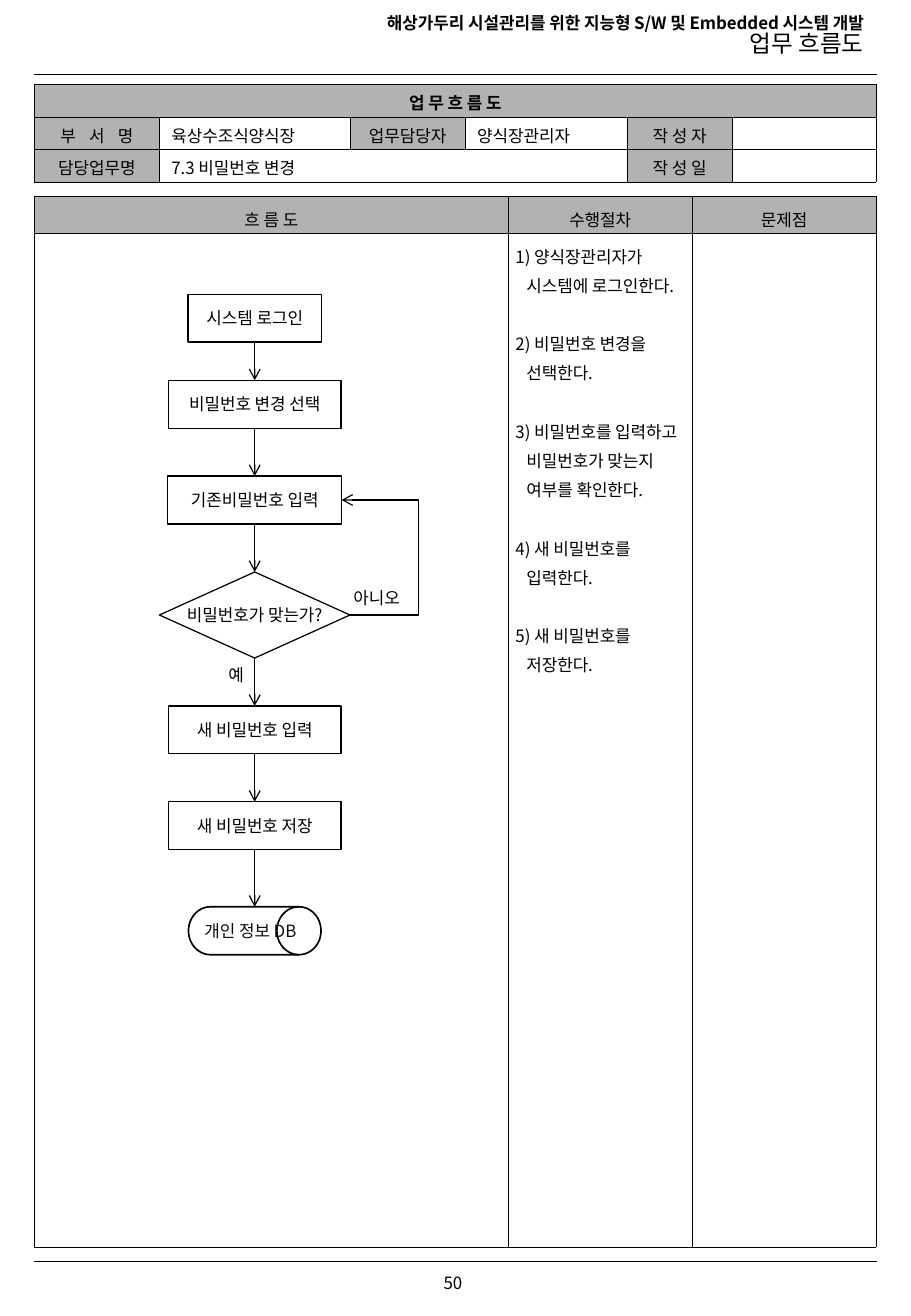
from itertools import pairwise, product

from lxml.etree import SubElement
from pptx import Presentation
from pptx.dml.color import RGBColor
from pptx.enum.shapes import MSO_CONNECTOR as LINK, MSO_SHAPE as SHAPE
from pptx.enum.text import MSO_ANCHOR as ANCHOR, MSO_AUTO_SIZE as AUTO_SIZE, PP_ALIGN as ALIGN
from pptx.oxml.ns import qn
from pptx.util import Pt

FONT = "Noto Sans CJK KR"
BLACK, NEAR_BLACK = RGBColor(0, 0, 0), RGBColor(0x0D, 0x0D, 0x0D)
WHITE, GRAY = RGBColor(255, 255, 255), RGBColor(0xB2, 0xB2, 0xB2)

PROJECT = "해상가두리 시설관리를 위한 지능형 S/W 및 Embedded 시스템 개발"
HEADING = "업무 흐름도"
PAGE_NUMBER = "50"

INFO_ROWS = [
    ["업 무 흐 름 도", "", "", "", "", ""],
    ["부 서 명", "육상수조식양식장", "업무담당자", "양식장관리자", "작 성 자", ""],
    ["담당업무명", "7.3 비밀번호 변경", "", "", "작 성 일", ""],
]
INFO_MERGES = [((0, 0), (0, 5)), ((2, 1), (2, 3))]
INFO_LABELS = {(0, 0), (1, 0), (1, 2), (1, 4), (2, 0), (2, 4)}
INFO_WIDTHS = [74, 113.2, 68.1, 96.1, 62.2, 85.4]
DETAIL_HEADERS = ["흐 름 도", "수행절차", "문제점"]
DETAIL_WIDTHS = [280.8, 109.1, 109.1]
STEPS = [
    "1) 양식장관리자가 시스템에 로그인한다.",
    "2) 비밀번호 변경을 선택한다.",
    "3) 비밀번호를 입력하고 비밀번호가 맞는지 여부를 확인한다.",
    "4) 새 비밀번호를 입력한다.",
    "5) 새 비밀번호를 저장한다.",
]

# text, shape, width, height, gap above
FLOW = [
    ("시스템 로그인", SHAPE.FLOWCHART_PROCESS, 79.2, 28.4, 0),
    ("비밀번호 변경 선택", SHAPE.FLOWCHART_PROCESS, 102.2, 28.4, 22.6),
    ("기존비밀번호 입력", SHAPE.FLOWCHART_PROCESS, 103, 28.4, 28.4),
    ("비밀번호가 맞는가?", SHAPE.FLOWCHART_DECISION, 113, 51, 28.4),
    ("새 비밀번호 입력", SHAPE.FLOWCHART_PROCESS, 102.2, 28.4, 28.4),
    ("새 비밀번호 저장", SHAPE.FLOWCHART_PROCESS, 102.2, 28.4, 28.4),
    ("개인 정보 DB", SHAPE.FLOWCHART_MAGNETIC_DISK, 78.6, 28.4, 33.8),
]
FLOW[-1] = (FLOW[-1][0], SHAPE.FLOWCHART_DIRECT_ACCESS_STORAGE, *FLOW[-1][2:])
ENTRY, DECISION = 2, 3
BRANCH_LABELS = [("아니오", 202.4, 344.9, 62.6), ("예", 128.2, 390.2, 56.9)]

LEFT, RIGHT = 20.4, 519.6
FLOW_CENTER, FLOW_TOP, LOOP_X = 151, 174.3, 248.2
SITE_TOP, SITE_BOTTOM, SITE_RIGHT = 0, 2, 3


def apply(target, **values):
    """Set each named attribute on the target."""
    for name, value in values.items():
        setattr(target, name, value)


def write(paragraph, text, size=10, bold=False, color=BLACK, **layout):
    """Fill a paragraph with one formatted run."""
    apply(paragraph, **layout)
    if not text:
        SubElement(paragraph._p, qn("a:endParaRPr"), sz=str(size * 100))
        return None
    run = paragraph.add_run()
    run.text = text
    apply(run.font, size=Pt(size), bold=bold, name=FONT)
    run.font.color.rgb = color
    SubElement(run._r.get_or_add_rPr(), qn("a:ea"), typeface=FONT)
    return run


def add_label(text, left, top, width, height, **frame_format):
    """Add a text box and return its paragraph."""
    frame = slide.shapes.add_textbox(Pt(left), Pt(top), Pt(width), Pt(height)).text_frame
    apply(frame, **{"word_wrap": True, **frame_format})
    write(frame.paragraphs[0], text)
    return frame.paragraphs[0]


def add_line(kind=LINK.STRAIGHT, points=(0, 0, 0, 0), weight=0.75, arrow=False):
    """Add a black connector without shadow."""
    line = slide.shapes.add_connector(kind, *map(Pt, points))
    line.line.width = Pt(weight)
    line.line.color.rgb = BLACK
    if arrow:
        SubElement(line.line._get_or_add_ln(), qn("a:tailEnd"), type="arrow")
    SubElement(line._element.spPr, qn("a:effectLst"))
    return line


def link(source, source_site, target, target_site, kind=LINK.STRAIGHT):
    """Join two flow nodes with an arrow."""
    arrow = add_line(kind, arrow=True)
    arrow.begin_connect(source, source_site)
    arrow.end_connect(target, target_site)
    return arrow


def add_grid(top, widths, heights):
    """Add a plain table of the given column widths and row heights."""
    grid = slide.shapes.add_table(len(heights), len(widths), Pt(LEFT), Pt(top),
                                  Pt(sum(widths)), Pt(sum(heights))).table
    apply(grid, first_row=False, horz_banding=False)
    for column, width in zip(grid.columns, widths):
        column.width = Pt(width)
    for row, height in zip(grid.rows, heights):
        row.height = Pt(height)
    return grid


def format_cell(cell, shaded, side, top, bottom, anchor):
    """Give a cell thin black borders, a fill and margins."""
    apply(cell, margin_left=Pt(side), margin_right=Pt(side), margin_top=Pt(top),
          margin_bottom=Pt(bottom), vertical_anchor=anchor)
    properties = cell._tc.get_or_add_tcPr()
    for edge in ("lnL", "lnR", "lnT", "lnB"):
        border = SubElement(properties, qn(f"a:{edge}"), w=str(Pt(0.25)))
        fill = SubElement(border, qn("a:solidFill"))
        SubElement(fill, qn("a:srgbClr"), val=str(BLACK))
    if shaded:
        cell.fill.solid()
        cell.fill.fore_color.rgb = GRAY
    else:
        cell.fill.background()


prs = Presentation()
apply(prs, slide_width=Pt(540), slide_height=Pt(779.76))
slide = prs.slides.add_slide(prs.slide_layouts[5])

# Page frame
title = slide.shapes.title
apply(title, left=Pt(167.8), top=Pt(5), width=Pt(351.4), height=Pt(36.7))
apply(title.text_frame, vertical_anchor=ANCHOR.TOP, auto_size=AUTO_SIZE.NONE, word_wrap=True,
      margin_left=Pt(7.2), margin_right=Pt(7.2), margin_top=Pt(4.4), margin_bottom=Pt(0))
heading_layout = {"alignment": ALIGN.RIGHT, "line_spacing": 0.86}
write(title.text_frame.paragraphs[0], PROJECT, bold=True, **heading_layout)
write(title.text_frame.add_paragraph(), HEADING, size=14, **heading_layout)
for y in (44, 747.2):
    add_line(points=(LEFT, y, RIGHT, y), weight=0.25)
add_label(PAGE_NUMBER, 239, 744.5, 59, 31.7, vertical_anchor=ANCHOR.MIDDLE, margin_left=0,
          margin_right=0, margin_top=0, margin_bottom=0).alignment = ALIGN.CENTER

# Document information
info = add_grid(50, INFO_WIDTHS, [19.35] * len(INFO_ROWS))
for row, column in product(range(len(INFO_ROWS)), range(len(INFO_WIDTHS))):
    is_label = (row, column) in INFO_LABELS
    cell = info.cell(row, column)
    format_cell(cell, is_label, 7.2, 3, 1, ANCHOR.MIDDLE)
    run = write(cell.text_frame.paragraphs[0], INFO_ROWS[row][column], bold=row == 0,
                alignment=ALIGN.CENTER if is_label else ALIGN.LEFT)
    if (row, column) == (1, 0):
        run._r.get_or_add_rPr().set("spc", "280")
for first, last in INFO_MERGES:
    info.cell(*first).merge(info.cell(*last))

# Flow, procedure and issues
detail = add_grid(116.4, DETAIL_WIDTHS, [21.6, 600.7])
for column, header in enumerate(DETAIL_HEADERS):
    for row, text in enumerate((header, "")):
        cell = detail.cell(row, column)
        format_cell(cell, row == 0, 4.32, 3.6, 0, ANCHOR.TOP)
        if row == 0 or column != 1:
            write(cell.text_frame.paragraphs[0], text, alignment=ALIGN.CENTER, line_spacing=1.2)
procedure = detail.cell(1, 1).text_frame
for number, step in enumerate(STEPS):
    paragraph = procedure.add_paragraph() if number else procedure.paragraphs[0]
    write(paragraph, step, line_spacing=1.2, space_before=Pt(17.4 if number else 0))
    for name, value in {"marL": Pt(6.5), "indent": -Pt(6.5)}.items():
        paragraph._p.get_or_add_pPr().set(name, str(value))

# Flowchart
nodes, y = [], FLOW_TOP
for text, kind, width, height, gap in FLOW:
    y += gap
    node = slide.shapes.add_shape(kind, Pt(FLOW_CENTER - width / 2), Pt(y), Pt(width), Pt(height))
    y += height
    is_store = kind == SHAPE.FLOWCHART_DIRECT_ACCESS_STORAGE
    node.shadow.inherit = False
    if is_store:
        node.fill.background()
    else:
        node.fill.solid()
        node.fill.fore_color.rgb = WHITE
    node.line.color.rgb = BLACK
    node.line.width = Pt(1 if is_store else 0.75)
    apply(node.text_frame, word_wrap=False, vertical_anchor=ANCHOR.MIDDLE,
          margin_left=Pt(15 if is_store else 7.2))
    write(node.text_frame.paragraphs[0], text, color=NEAR_BLACK if is_store else BLACK,
          alignment=ALIGN.CENTER)
    nodes.append(node)
for upper, lower in pairwise(nodes):
    link(upper, SITE_BOTTOM, lower, SITE_TOP)

retry = link(nodes[DECISION], SITE_RIGHT, nodes[ENTRY], SITE_RIGHT, LINK.ELBOW)
bend = (retry.begin_x - Pt(LOOP_X)) / (retry.begin_x - retry.end_x)
guides = retry._element.spPr.find(qn("a:prstGeom")).get_or_add_avLst()
SubElement(guides, qn("a:gd"), name="adj1", fmla=f"val {round(bend * 100000)}")
for text, left, top, width in BRANCH_LABELS:
    add_label(text, left, top, width, 19.4)

prs.save("out.pptx")
